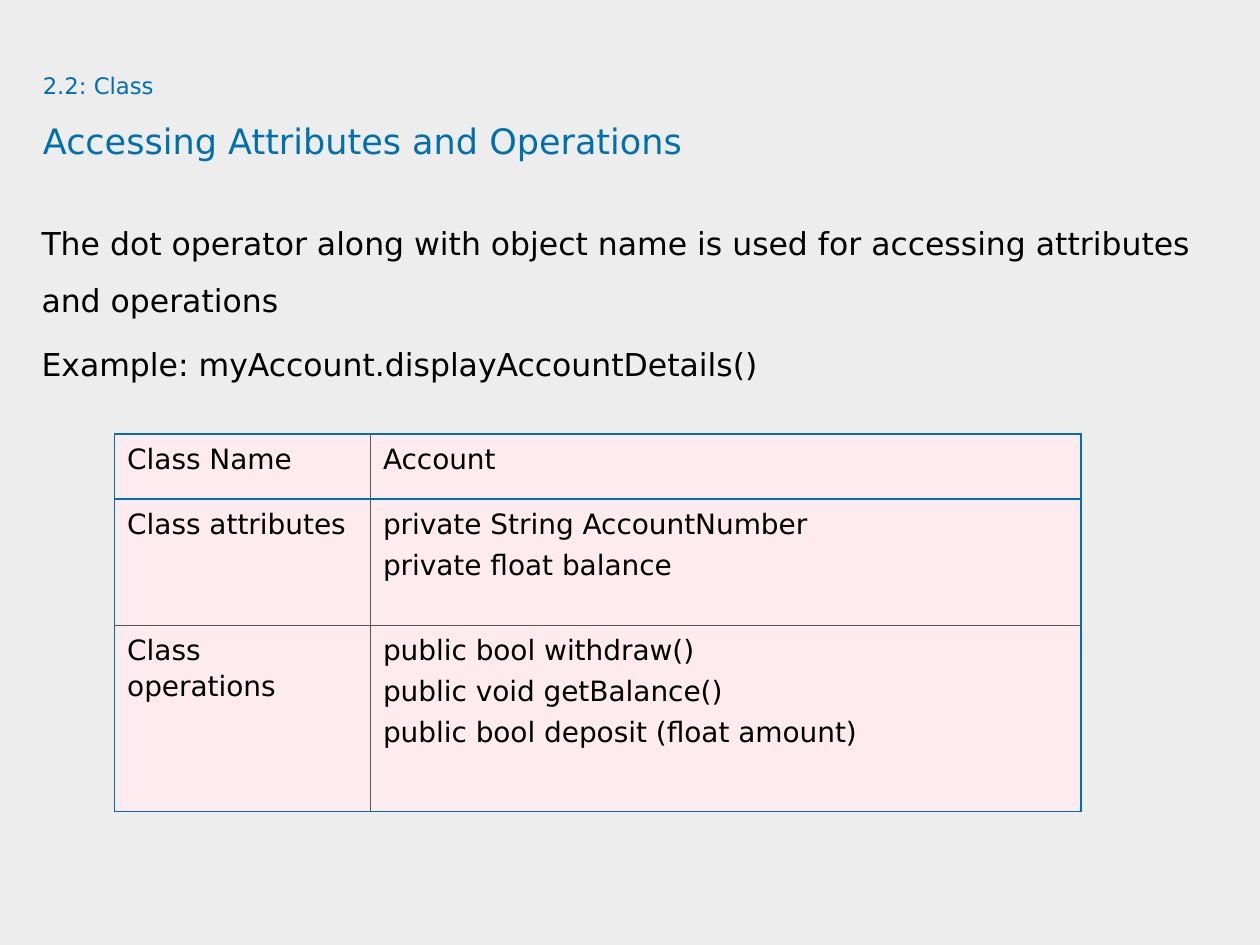
"""Build the slide on accessing attributes and operations of a class."""
import pptx
import pptx.dml.color
import pptx.oxml
import pptx.oxml.ns
import pptx.util

RGB = pptx.dml.color.RGBColor
Pt = pptx.util.Pt
BLUE = RGB(0x00, 0x70, 0xAD)
GREY = RGB(0x55, 0x55, 0x55)
BLACK = RGB(0x00, 0x00, 0x00)
PINK = RGB(0xFD, 0xEB, 0xEF)
PALE = RGB(0xED, 0xED, 0xED)
FONT = "DejaVu Sans"
WIDE = pptx.util.Inches(10)
HIGH = pptx.util.Inches(7.5)
COLS = (2.03, 5.64)
ROWS = (0.52, 1, 1.48)
CELLS = (
    (["Class Name"], ["Account"]),
    (["Class attributes"], ["private String AccountNumber", "private float balance"]),
    (["Class operations"], ["public bool withdraw()", "public void getBalance()",
                            "public bool deposit (float amount)"]),
)


def style(font, size, color):
    font.name, font.size = FONT, Pt(size)
    font.color.rgb = color


def place(left, top, width, height):
    return [int(part * side) for part, side in
            zip((left, top, width, height), (WIDE, HIGH, WIDE, HIGH))]


def add_box(slide, *area):
    frame = slide.shapes.add_textbox(*place(*area)).text_frame
    frame.word_wrap = True
    frame.margin_left = frame.margin_right = 0
    frame.margin_top = frame.margin_bottom = 0
    return frame


def add_title(slide, label, title):
    para = add_box(slide, 0.034, 0.061, 0.909, 0.125).paragraphs[0]
    para.line_spacing = 1.5
    run = para.add_run()
    run.text = label
    style(run.font, 13, BLUE)
    para.add_line_break()
    run = para.add_run()
    run.text = title
    style(run.font, 20, BLUE)


def fill_text(frame, lines, size, pitch, before=0, after=0):
    frame.text = "\n".join(lines)
    for index, para in enumerate(frame.paragraphs):
        para.line_spacing = pitch
        para.space_before = Pt(before if index else 0)
        para.space_after = Pt(after)
        style(para.font, size, BLACK)


def add_edge(cell, side, color, width):
    space = pptx.oxml.ns.nsdecls("a")
    cell._tc.get_or_add_tcPr().append(pptx.oxml.parse_xml(
        f'<a:ln{side} {space} w="{Pt(width)}"><a:solidFill>'
        f'<a:srgbClr val="{color}"/></a:solidFill></a:ln{side}>'))


def add_grid(slide):
    shape = slide.shapes.add_table(len(ROWS), len(COLS),
                                   *place(0.091, 0.459, 0.767, 0.4))
    table = shape.table
    table.first_row = table.horz_banding = False
    for col, width in zip(table.columns, COLS):
        col.width = pptx.util.Inches(width)
    for row, height in zip(table.rows, ROWS):
        row.height = pptx.util.Inches(height)
    for r, row in enumerate(CELLS):
        for c, lines in enumerate(row):
            cell = table.cell(r, c)
            fill_text(cell.text_frame, lines, 16, 1.1, before=3.2)
            strong = {"L": c == 0, "R": c == len(COLS) - 1,
                      "T": r < 2, "B": r != 1}
            for side, bold in strong.items():
                add_edge(cell, side, *((BLUE, 1) if bold else (GREY, 0.5)))
            cell.fill.solid()
            cell.fill.fore_color.rgb = PINK


def main():
    deck = pptx.Presentation()
    deck.slide_width, deck.slide_height = WIDE, HIGH
    slide = deck.slides.add_slide(deck.slide_layouts[6])
    slide.background.fill.solid()
    slide.background.fill.fore_color.rgb = PALE
    add_title(slide, "2.2: Class", "Accessing Attributes and Operations")
    fill_text(add_box(slide, 0.033, 0.217, 0.967, 0.677), [
        "The dot operator along with object name is used for accessing "
        "attributes and operations",
        "Example: myAccount.displayAccountDetails()",
    ], 18, 1.5, after=4.5)
    add_grid(slide)
    deck.save("out.pptx")


if __name__ == "__main__":
    main()
